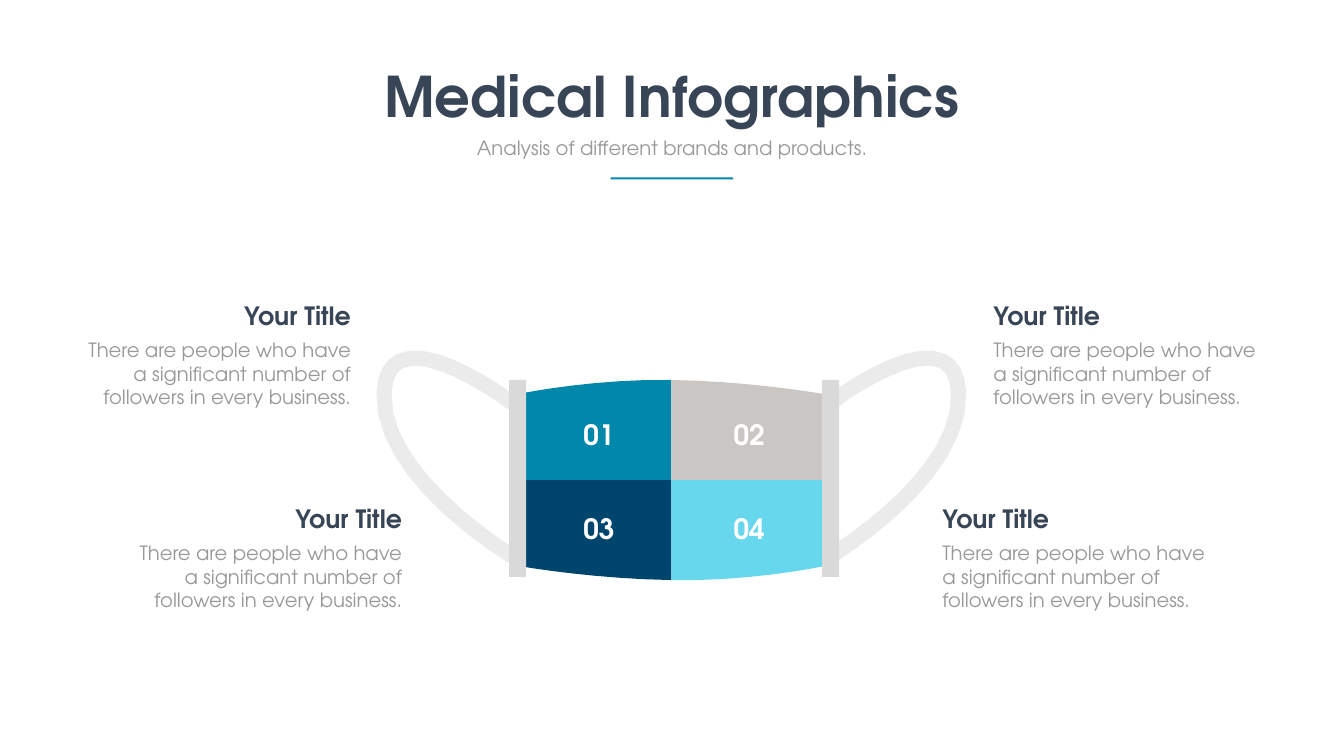
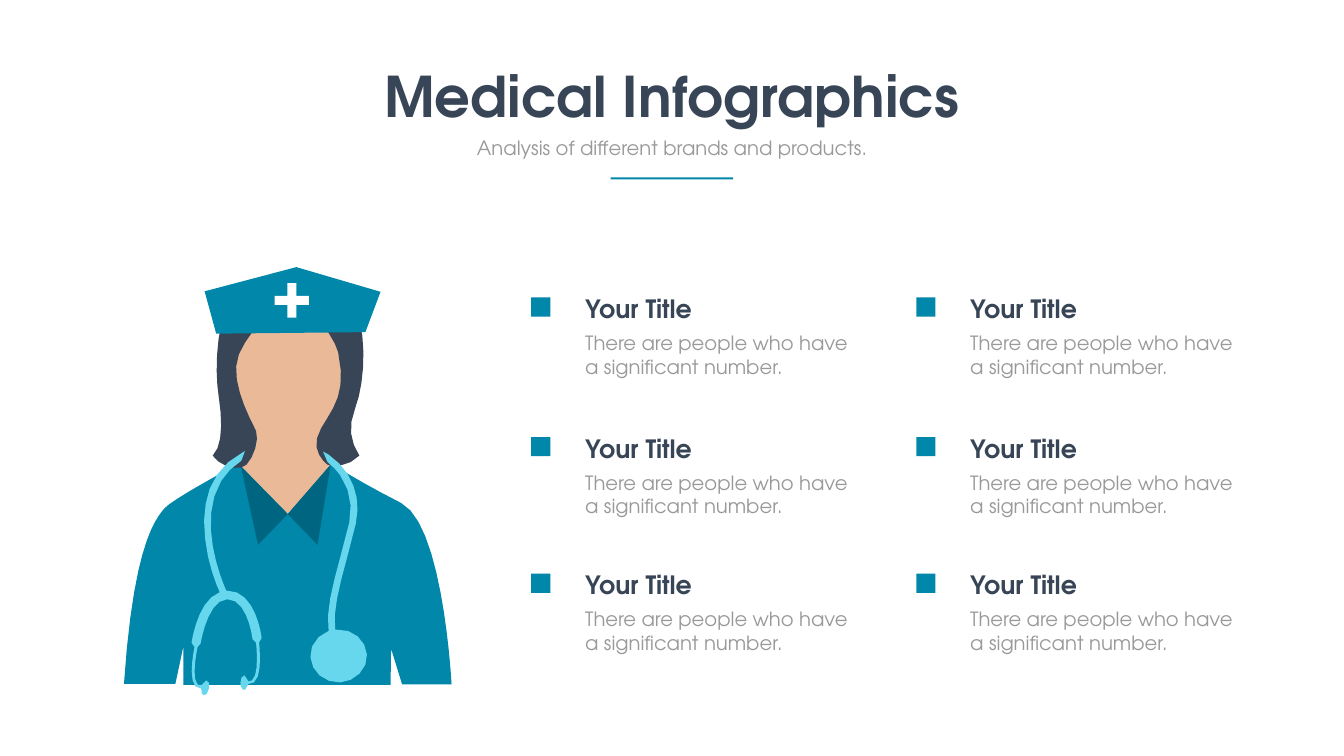
from collections import namedtuple
from math import ceil, hypot, sqrt

from pptx import Presentation
from pptx.dml.color import RGBColor
from pptx.enum.shapes import MSO_SHAPE as Preset
from pptx.enum.text import MSO_ANCHOR as Anchor, MSO_AUTO_SIZE as AutoSize, PP_ALIGN as Align
from pptx.util import Pt

COLORS = {
    "teal": "0087AA",
    "dark_teal": "006580",
    "navy": "00456D",
    "sky": "66D7EC",
    "warm_gray": "CAC6C4",
    "loop": "EBEBEB",
    "band": "D9D9D9",
    "ink": "374556",
    "muted": "999999",
    "skin": "EAB998",
    "white": "FFFFFF",
}
FONT = "TeX Gyre Adventor"
GRID = 0.72
TOLERANCE = 1.5

Box = namedtuple("Box", "left top width height")

EAR_LOOP = [
    (323, 164), (334, 157, 592, 2, 585, -174), (583, -213, 570, -238, 544, -250),
    (469, -286, 321, -176, 304, -163), (322, -139), (380, -183, 487, -244, 531, -223),
    (546, -216, 554, -199, 555, -172), (561, -15, 310, 136, 308, 138),
]
FACE = [
    (297, 394), (295, 399, 293, 405, 289, 411), (276, 428), (253, 448), (240, 478), (498, 617),
    (495, 603, 481, 450, 473, 438), (462, 428), (449, 414), (445, 407, 442, 400, 441, 394),
    (435, 369, 446, 348, 446, 348), (469, 318, 487, 224, 489, 180),
    (438, 163, 403, 98, 388, 72), (377, 105, 281, 149, 240, 168),
    (246, 207, 273, 323, 292, 348), (292, 348, 303, 369, 297, 394),
]
COAT = [
    (270, 422), (270, 422, 142, 490, 126, 509), (110, 529, 65, 576, 46, 857),
    (148, 857), (164, 782), (164, 859), (575, 859), (576, 787), (598, 858), (696, 858),
    (696, 858, 680, 541, 596, 498), (511, 455, 458, 420, 458, 420), (371, 520), (273, 420),
]
LEFT_COLLAR = [(278, 425), (312, 581), (371, 520)]
RIGHT_COLLAR = [(456, 422), (430, 581), (371, 520)]
HAIR = [
    (376, 58), (376, 58, 333, 41, 280, 72), (227, 103, 225, 236, 234, 287),
    (242, 339, 241, 386, 222, 404), (235, 425, 276, 437, 289, 422),
    (303, 408, 315, 372, 308, 355), (301, 339, 252, 255, 274, 203),
    (295, 151, 376, 76, 382, 61), (396, 89, 464, 165, 471, 199),
    (488, 280, 463, 306, 437, 350), (410, 394, 450, 422, 450, 422),
    (450, 422, 486, 432, 513, 404), (495, 375, 490, 348, 505, 309),
    (527, 254, 535, 105, 472, 72), (409, 39, 376, 58, 376, 58),
]
CAP = [(229, 162), (206, 78), (388, 30), (555, 79), (525, 159)]
CHEST_PIECE = [
    (491, 752), (465, 749), (460, 715, 473, 663, 488, 609), (506, 539),
    (512, 512, 510, 486, 501, 463), (492, 439, 475, 418, 452, 402), (441, 396), (450, 417),
    (460, 425, 469, 434, 475, 443), (494, 470, 500, 502, 493, 537), (475, 606),
    (459, 664, 446, 716, 452, 752), (437, 758, 425, 768, 419, 783),
    (409, 811, 424, 841, 453, 851), (482, 861, 514, 846, 525, 819),
    (535, 792, 520, 762, 491, 752),
]
EARPIECES = [
    (249, 672), (239, 650, 191, 532, 239, 454), (249, 439, 261, 425, 279, 414),
    (286, 395), (281, 398), (250, 414, 228, 439, 216, 470), (206, 498, 202, 531, 207, 569),
    (212, 618, 229, 660, 236, 675), (192, 691, 181, 771, 180, 775), (186, 784),
    (183, 798, 174, 848, 188, 862), (199, 866), (201, 877), (205, 879), (210, 877), (215, 865),
    (216, 857, 214, 850, 209, 850), (199, 860), (192, 858),
    (181, 847, 188, 803, 192, 784), (198, 777),
    (202, 753, 218, 689, 251, 689), (291, 688, 301, 767, 301, 768), (308, 775),
    (310, 794, 313, 840, 300, 850), (293, 852), (285, 840),
    (280, 840, 277, 847, 277, 855), (277, 863, 281, 870, 286, 869), (293, 857), (304, 854),
    (321, 841, 315, 784, 314, 775), (319, 766), (319, 762, 307, 671, 251, 672),
]


def paint(shape, color):
    """Give a shape a flat fill without outline or shadow."""
    shape.shadow.inherit = False
    shape.fill.solid()
    shape.fill.fore_color.rgb = RGBColor.from_string(COLORS[color])
    shape.line.fill.background()


def add_block(shapes, box, color, preset=Preset.RECTANGLE):
    """Add a flat preset shape in a box."""
    shape = shapes.add_shape(preset, *map(Pt, box))
    paint(shape, color)
    return shape


def flatten(outline):
    """Turn corners and cubic curves into points, with more points on sharper bends."""
    points = [outline[0]]
    for part in outline[1:]:
        if len(part) == 2:
            points.append(part)
            continue
        knots = [points[-1], part[:2], part[2:4], part[4:]]
        bend = max(
            hypot(*(a - 2 * b + c for a, b, c in zip(*knots[first:first + 3]))) for first in (0, 1)
        )
        steps = max(1, ceil(sqrt(0.75 * bend / TOLERANCE)))
        for step in range(1, steps + 1):
            t = step / steps
            weights = ((1 - t) ** 3, 3 * t * (1 - t) ** 2, 3 * t * t * (1 - t), t ** 3)
            points.append(tuple(sum(w * k[axis] for w, k in zip(weights, knots)) for axis in (0, 1)))
    return points


def draw(shapes, outline, origin, color, flip=(1, 1)):
    """Draw a closed outline on the grid around an origin, mirrored by flip."""
    points = [
        tuple(Pt(start + side * GRID * value) for start, side, value in zip(origin, flip, point))
        for point in flatten(outline)
    ]
    builder = shapes.build_freeform(*points[0])
    builder.add_line_segments(points[1:], close=True)
    paint(builder.convert_to_shape(), color)


def write(shape, text, size, color, bold=False, align=Align.LEFT, wrap=True, anchor=Anchor.TOP):
    """Fill a text shape with one formatted run."""
    frame = shape.text_frame
    frame.word_wrap = wrap
    frame.auto_size = AutoSize.SHAPE_TO_FIT_TEXT
    frame.vertical_anchor = anchor
    paragraph = frame.paragraphs[0]
    paragraph.alignment = align
    run = paragraph.add_run()
    run.text = text
    run.font.name = FONT
    run.font.size = Pt(size)
    run.font.bold = bold
    run.font.color.rgb = RGBColor.from_string(COLORS[color])
    return frame


def add_text(slide, box, *args, **style):
    """Add a text box with one run."""
    return write(slide.shapes.add_textbox(*map(Pt, box)), *args, **style)


def add_header(slide, box):
    """Place the title, the subtitle and the short rule."""
    title = slide.shapes.title
    title.left, title.top, title.width, title.height = map(Pt, (box.left, box.top, box.width, 104.4))
    write(title, "Medical Infographics", 80, "ink", bold=True, align=Align.CENTER, wrap=False)
    center = box.left + box.width / 2
    add_text(slide, Box(center - 344, box.top + 106.6, 688, 41),
             "Analysis of different brands and products.", 28, "muted", align=Align.CENTER)
    add_block(slide.shapes, Box(center - 87.5, box.top + 169.2, 175, 2.9), "teal")


def add_callout(slide, box, text, align=Align.LEFT):
    """Place a heading above its description."""
    add_text(slide, Box(box.left, box.top, box.width, 51), "Your Title", 36, "ink", bold=True, align=align)
    add_text(slide, Box(box.left, box.top + 54, box.width, box.height - 54), text, 28, "muted", align=align)


def add_mask(slide, box):
    """Draw the face mask with its four numbered panels."""
    center = (box.left + box.width / 2, box.top + box.height * 0.56)
    panels = [
        ("01", "teal", (-1, -1), 201), ("02", "warm_gray", (1, -1), 196),
        ("03", "navy", (-1, 1), 196), ("04", "sky", (1, 1), 202),
    ]
    for number, color, flip, bulge in panels:
        panel = [(0, 0), (0, 198.5), (165, bulge, 312, 169, 312, 169), (312, 0)]
        draw(slide.shapes, panel, center, color, flip)
    for side in (-1, 1):
        draw(slide.shapes, EAR_LOOP, center, "loop", (side, 1))
    for offset in (-231.8, 215.3):
        add_block(slide.shapes, Box(center[0] + offset, center[1] - 143, 24.5, 281.5), "band")
    for number, color, (side_x, side_y), bulge in panels:
        middle = (center[0] + 4 + side_x * 107.3, center[1] + 1.5 + side_y * 67.3)
        frame = add_text(slide, Box(middle[0] - 60, middle[1] - 24, 120, 48), number, 40, "white",
                         bold=True, align=Align.CENTER, anchor=Anchor.MIDDLE)
        frame.margin_left = frame.margin_top = frame.margin_right = frame.margin_bottom = 0


def add_nurse(slide, box):
    """Draw the nurse with cap and stethoscope."""
    shapes = slide.shapes.add_group_shape().shapes
    origin = (box.left, box.top)
    layers = [
        (FACE, "skin"), (COAT, "teal"), (LEFT_COLLAR, "dark_teal"), (RIGHT_COLLAR, "dark_teal"),
        (HAIR, "ink"), (CAP, "teal"), (CHEST_PIECE, "sky"), (EARPIECES, "sky"),
    ]
    for outline, color in layers:
        draw(shapes, outline, origin, color)
    cross = add_block(shapes, Box(box.left + 248.4, box.top + 44.6, 49, 49), "white", Preset.CROSS)
    cross.adjustments[0] = 0.37


def add_item(slide, box):
    """Place a square marker beside a callout."""
    add_block(slide.shapes, Box(box.left, box.top + 9.4, 27.4, 27.4), "teal")
    add_callout(slide, Box(box.left + 70, box.top, box.width - 70, box.height),
                "There are people who have a significant number.")


def add_infographic_slide(presentation):
    """Add a slide with the shared header."""
    slide = presentation.slides.add_slide(presentation.slide_layouts[5])
    add_header(slide, Box(537.3, 84.2, 845.4, 172))
    return slide


def add_mask_slide(presentation):
    """Build the slide with the mask and four callouts."""
    slide = add_infographic_slide(presentation)
    add_mask(slide, Box(538, 500.4, 842, 331))
    text = "There are people who have a significant number of followers in every business."
    for top, left_edge, right_edge in ((425.5, 113, 1412), (715.7, 186, 1339.2)):
        add_callout(slide, Box(left_edge, top, 395.3, 163), text, Align.RIGHT)
        add_callout(slide, Box(right_edge, top, 395.3, 163), text)


def add_nurse_slide(presentation):
    """Build the slide with the nurse and six items."""
    slide = add_infographic_slide(presentation)
    add_nurse(slide, Box(144, 360, 504, 640))
    for left in (758.9, 1309):
        for top in (415.4, 614.9, 810):
            add_item(slide, Box(left, top, 471, 129))


def main():
    """Build and save the presentation."""
    presentation = Presentation()
    presentation.slide_width, presentation.slide_height = Pt(1920), Pt(1080)
    add_mask_slide(presentation)
    add_nurse_slide(presentation)
    presentation.save("out.pptx")


if __name__ == "__main__":
    main()
